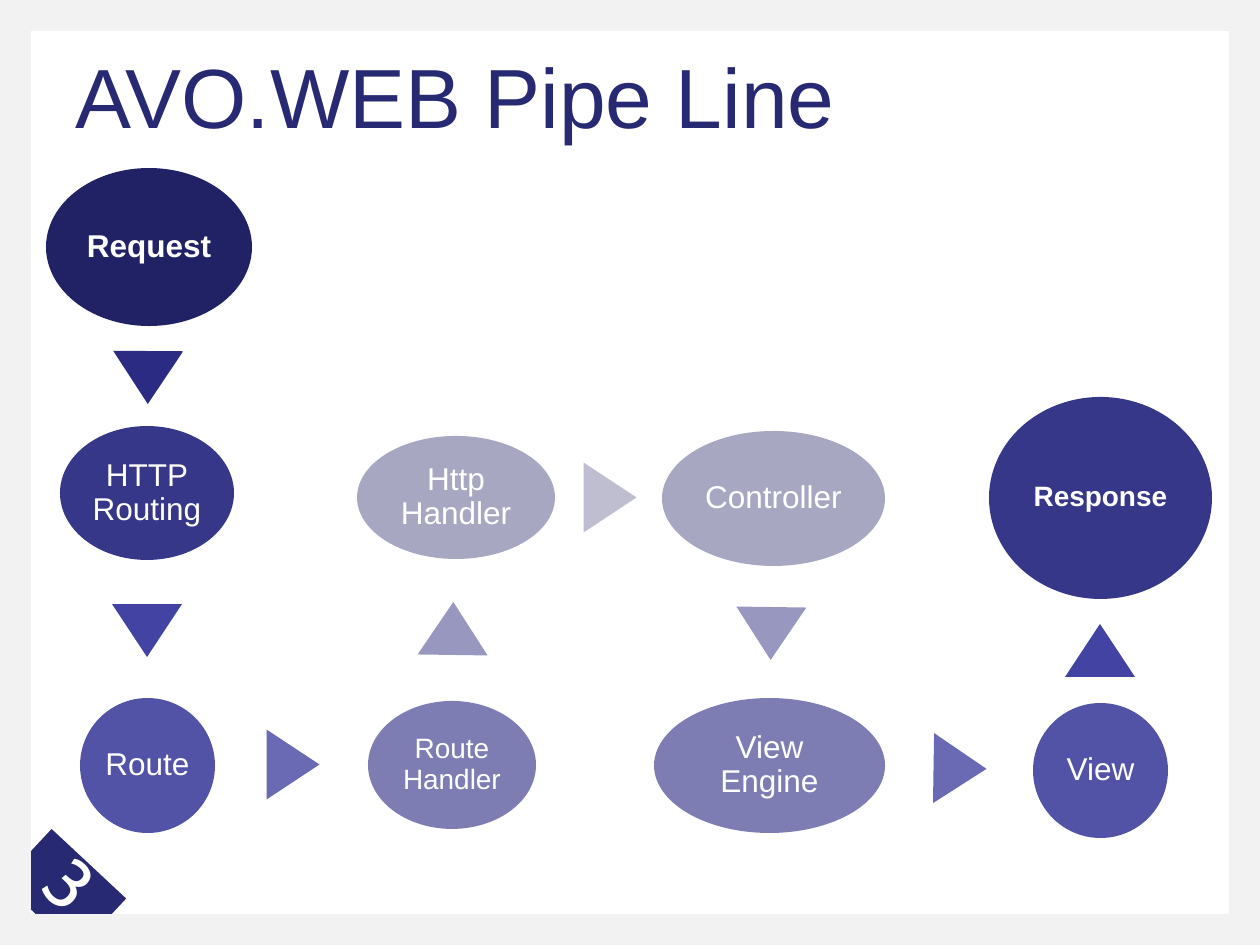
import pptx
import pptx.util
import pptx.dml.color
import pptx.enum.shapes
import pptx.enum.text

RGBColor = pptx.dml.color.RGBColor
Align = pptx.enum.text.PP_ALIGN
Anchor = pptx.enum.text.MSO_ANCHOR
Shape = pptx.enum.shapes.MSO_SHAPE

WHITE = RGBColor(0xFF, 0xFF, 0xFF)
FRAME_GRAY = RGBColor(0xF2, 0xF2, 0xF2)
TITLE_NAVY = RGBColor(0x28, 0x29, 0x73)
MIDNIGHT = RGBColor(0x21, 0x21, 0x66)
NAVY = RGBColor(0x2B, 0x2B, 0x84)
INDIGO = RGBColor(0x37, 0x37, 0x89)
BLUE = RGBColor(0x43, 0x43, 0xA4)
MID_BLUE = RGBColor(0x52, 0x52, 0xA6)
SOFT_BLUE = RGBColor(0x6A, 0x6A, 0xB4)
LAVENDER = RGBColor(0x7D, 0x7D, 0xB3)
PALE_LAVENDER = RGBColor(0x97, 0x97, 0xBF)
MIST = RGBColor(0xA7, 0xA7, 0xC1)
PALE_MIST = RGBColor(0xBE, 0xBE, 0xD0)

EMU_PER_PX = 914400 / 126

STAGES = [
    ("Request", (46, 168, 206, 158), MIDNIGHT, 18, True),
    ("HTTP\nRouting", (60, 426, 174, 134), INDIGO, 18, False),
    ("Route", (80, 698, 135, 135), MID_BLUE, 18, False),
    ("Route\nHandler", (368, 701, 168, 128), LAVENDER, 16, False),
    ("Http\nHandler", (357, 436, 198, 123), MIST, 18, False),
    ("Controller", (662, 431, 223, 135), MIST, 18, False),
    ("View\nEngine", (654, 698, 231, 135), LAVENDER, 18, False),
    ("View", (1033, 703, 135, 135), MID_BLUE, 18, False),
    ("Response", (989, 397, 223, 202), INDIGO, 16, True),
]

FLOW_MARKS = [
    (113, 351, 180.4, NAVY),
    (112, 604, 180, BLUE),
    (258, 738, 90, SOFT_BLUE),
    (418, 602, 0.8, PALE_LAVENDER),
    (575, 471, 90, PALE_MIST),
    (736, 607, 180.8, PALE_LAVENDER),
    (925, 742, 90.9, SOFT_BLUE),
    (1065, 624, 0, BLUE),
]


def px(length):
    return pptx.util.Emu(round(length * EMU_PER_PX))


def write_text(frame, text, *, size, color=WHITE, font="Arial", bold=False,
               align=Align.CENTER, anchor=Anchor.MIDDLE, spacing=None, margin=4, wrap=False):
    frame.word_wrap = wrap
    frame.auto_size = pptx.enum.text.MSO_AUTO_SIZE.NONE
    frame.vertical_anchor = anchor
    frame.margin_left = frame.margin_right = px(margin)
    frame.margin_top = frame.margin_bottom = px(margin)
    paragraph = frame.paragraphs[0]
    paragraph.text = text
    paragraph.alignment = align
    paragraph.line_spacing = spacing
    for run in paragraph.runs:
        run.font.name = font
        run.font.size = pptx.util.Pt(size)
        run.font.bold = bold
        run.font.color.rgb = color


class PipelineSlide:
    def __init__(self, deck):
        self.slide = deck.slides.add_slide(deck.slide_layouts[5])

    def shape(self, preset, box, fill=None, rotation=0):
        shape = self.slide.shapes.add_shape(preset, *map(px, box))
        shape.shadow.inherit = False
        shape.line.fill.background()
        shape.rotation = rotation
        if fill is None:
            shape.fill.background()
        else:
            shape.fill.solid()
            shape.fill.fore_color.rgb = fill
        return shape

    def title(self, text, box):
        heading = self.slide.shapes.title
        heading.left, heading.top, heading.width, heading.height = map(px, box)
        write_text(heading.text_frame, text, size=48, color=TITLE_NAVY,
                   align=Align.LEFT, anchor=Anchor.TOP, margin=13, wrap=True)

    def page_badge(self, number, box):
        badge = self.shape(Shape.RECTANGLE, box, TITLE_NAVY, 43)
        write_text(badge.text_frame, number, size=40, font="Cabin",
                   anchor=Anchor.BOTTOM, margin=6)

    def border(self, box):
        border = self.shape(Shape.RECTANGLE, box)
        border.line.color.rgb = FRAME_GRAY
        border.line.width = pptx.util.Pt(35)

    def stage(self, text, box, fill, size, bold):
        stage = self.shape(Shape.OVAL, box, fill)
        write_text(stage.text_frame, text, size=size, bold=bold, spacing=0.9)

    def flow_mark(self, left, top, rotation, fill):
        self.shape(Shape.ISOSCELES_TRIANGLE, (left, top, 70, 53), fill, rotation)


def main():
    deck = pptx.Presentation()
    deck.slide_width, deck.slide_height = px(1260), px(945)
    pipeline = PipelineSlide(deck)
    pipeline.page_badge("3", (13, 854, 102, 73))
    pipeline.border((0, 0, 1260, 945))
    pipeline.title("AVO.WEB Pipe Line", (63, 32, 1134, 158))
    for stage in STAGES:
        pipeline.stage(*stage)
    for mark in FLOW_MARKS:
        pipeline.flow_mark(*mark)
    deck.save("out.pptx")


if __name__ == "__main__":
    main()
